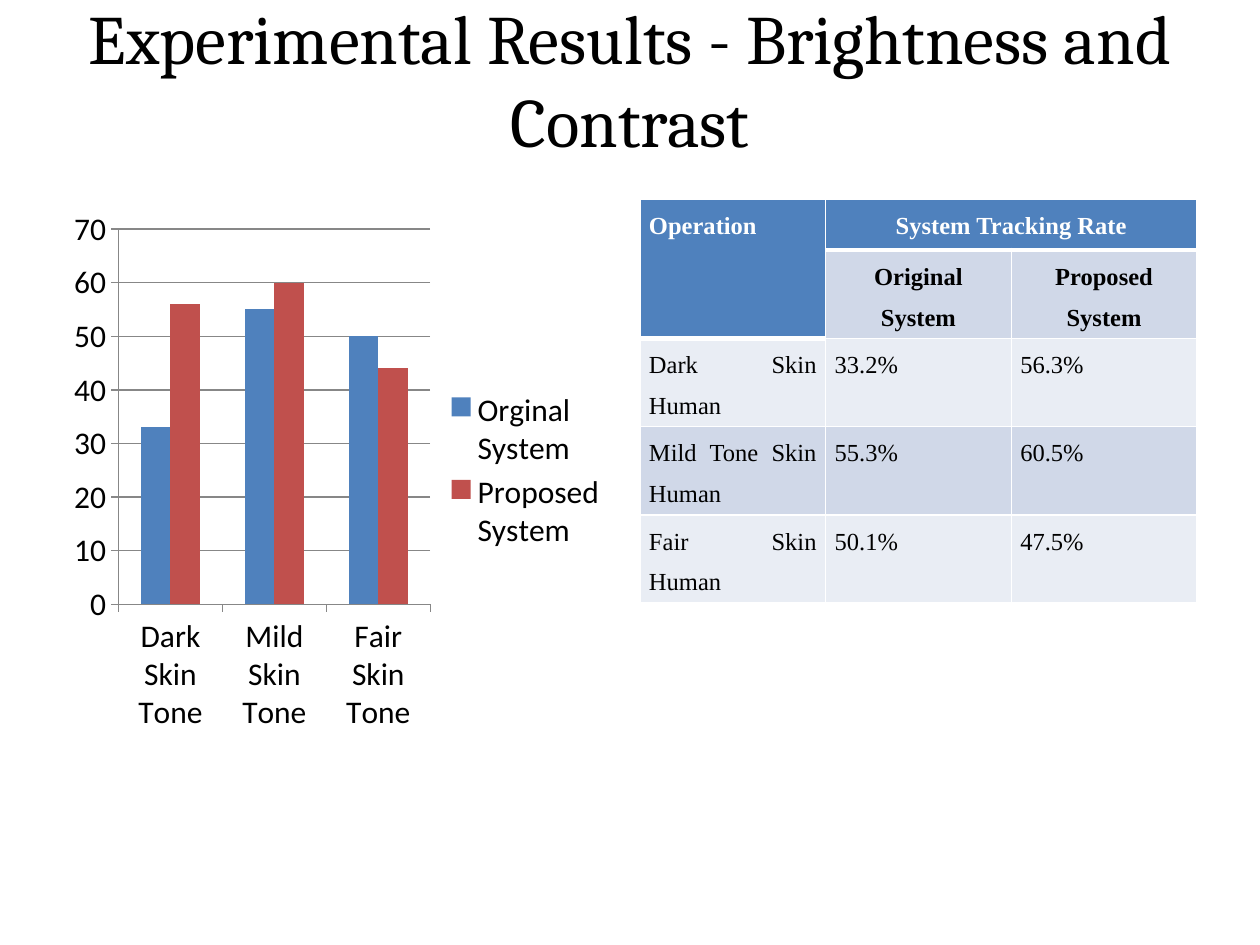
from dataclasses import dataclass

from lxml import etree
from pptx import Presentation
from pptx import util as u
from pptx.chart.data import CategoryChartData
from pptx.dml.color import RGBColor
from pptx.enum import chart as ch
from pptx.enum import text as t
from pptx.oxml.ns import qn


@dataclass(frozen=True)
class Theme:
    """Hold the colours, fonts and type sizes of the slide."""
    ink: str = "000000"
    white: str = "FFFFFF"
    blue: str = "4F81BD"
    red: str = "C0504D"
    band_dark: str = "D0D8E8"
    band_light: str = "E9EDF4"
    axis: str = "878787"
    title_font: str = "Cambria"
    chart_font: str = "Calibri"
    table_font: str = "Times New Roman"
    title_size: float = 39.6
    chart_size: int = 18
    table_size: int = 14


THEME = Theme()


def px(length):
    """Turn px into EMU at 126 px to the inch."""
    return u.Emu(round(length * 914400 / 126))


def style_font(font, name, size, color, bold=False):
    """Set the face, size, colour and weight of a font."""
    font.name, font.size, font.bold = name, u.Pt(size), bold
    font.color.rgb = RGBColor.from_string(color)


def add_title(slide, box, wording):
    """Place the centred title, raised by one line within its box."""
    frame = slide.shapes.add_textbox(*map(px, box)).text_frame
    frame.word_wrap = True
    frame.vertical_anchor = t.MSO_ANCHOR.MIDDLE
    frame.margin_bottom = px(84)
    heading = frame.paragraphs[0]
    heading.text = wording
    heading.alignment = t.PP_ALIGN.CENTER
    style_font(heading.font, THEME.title_font, THEME.title_size, THEME.ink)


def add_rate_chart(slide, box, tones, systems):
    """Place the clustered columns that compare the two systems."""
    rates = CategoryChartData()
    rates.categories = tones
    for name, values, _ in systems:
        rates.add_series(name, values)
    chart = slide.shapes.add_chart(
        ch.XL_CHART_TYPE.COLUMN_CLUSTERED, *map(px, box), rates).chart
    style_font(chart.font, THEME.chart_font, THEME.chart_size, THEME.ink)
    chart.has_title = False
    chart.has_legend = True
    chart.legend.position = ch.XL_LEGEND_POSITION.RIGHT
    chart.legend.include_in_layout = False
    columns = chart.plots[0]
    columns.vary_by_categories = False
    columns.gap_width = 150
    columns.overlap = 0
    for series, (_, _, color) in zip(columns.series, systems):
        series.format.fill.solid()
        series.format.fill.fore_color.rgb = RGBColor.from_string(color)
    rate_axis = chart.value_axis
    rate_axis.minimum_scale, rate_axis.maximum_scale = 0, 70
    rate_axis.major_unit = 10
    rate_axis.has_major_gridlines = True
    for part in (chart.category_axis, rate_axis, rate_axis.major_gridlines):
        part.format.line.color.rgb = RGBColor.from_string(THEME.axis)
        part.format.line.width = u.Pt(0.75)
    for axis in (chart.category_axis, rate_axis):
        axis.major_tick_mark = ch.XL_TICK_MARK.OUTSIDE


def add_borders(cell, header):
    """Draw white cell borders, thicker below a header."""
    properties = cell._tc.get_or_add_tcPr()
    for position, side in enumerate(("lnL", "lnR", "lnT", "lnB")):
        points = 3 if header and side == "lnB" else 1
        line = etree.Element(qn(f"a:{side}"), w=str(u.Pt(points)))
        fill = etree.SubElement(line, qn("a:solidFill"))
        etree.SubElement(fill, qn("a:srgbClr"), val=THEME.white)
        properties.insert(position, line)


def style_cell(cell, wording, fill, color, bold, alignment):
    """Fill one cell and set its wording."""
    cell.fill.solid()
    cell.fill.fore_color.rgb = RGBColor.from_string(fill)
    cell.margin_left = cell.margin_right = px(9)
    cell.margin_top = cell.margin_bottom = 0
    entry = cell.text_frame.paragraphs[0]
    entry.text = wording
    entry.alignment = alignment
    entry.line_spacing = 1.5
    style_font(entry.font, THEME.table_font, THEME.table_size, color, bold)
    add_borders(cell, fill == THEME.blue)


def add_rate_table(slide, box, rows):
    """Place the tracking rates under a two-level header."""
    left, top, width, height = box
    table = slide.shapes.add_table(
        len(rows), len(rows[0]), *map(px, box)).table
    for column in table.columns:
        column.width = px(width / len(rows[0]))
    for row in table.rows:
        row.height = px(height / len(rows))
    table.cell(0, 0).merge(table.cell(1, 0))
    table.cell(0, 1).merge(table.cell(0, 2))
    for r, row in enumerate(rows):
        for c, wording in enumerate(row):
            header = r == 0 or (r == 1 and c == 0)
            band = THEME.band_dark if r % 2 else THEME.band_light
            alignment = t.PP_ALIGN.JUSTIFY
            if r < 2:
                alignment = t.PP_ALIGN.CENTER if c else t.PP_ALIGN.LEFT
            style_cell(table.cell(r, c), wording,
                       THEME.blue if header else band,
                       THEME.white if header else THEME.ink,
                       r < 2, alignment)
    table.cell(0, 0).text_frame.paragraphs[0].space_before = u.Pt(12)


def main():
    """Build the slide and save it."""
    deck = Presentation()
    deck.slide_width, deck.slide_height = px(1260), px(945)
    slide = deck.slides.add_slide(deck.slide_layouts[6])
    add_title(slide, (63, 38, 1134, 158),
              "Experimental Results - Brightness and Contrast")
    add_rate_chart(
        slide, (63, 199, 557, 543),
        ("Dark Skin Tone", "Mild Skin Tone", "Fair Skin Tone"),
        (("Orginal System", (33, 55, 50), THEME.blue),
         ("Proposed System", (56, 60, 44), THEME.red)))
    add_rate_table(slide, (640, 199, 557, 255), (
        ("Operation", "System Tracking Rate", ""),
        ("", "Original System", "Proposed System"),
        ("Dark Skin Human", "33.2%", "56.3%"),
        ("Mild Tone Skin Human", "55.3%", "60.5%"),
        ("Fair Skin Human", "50.1%", "47.5%")))
    deck.save("out.pptx")


if __name__ == "__main__":
    main()
